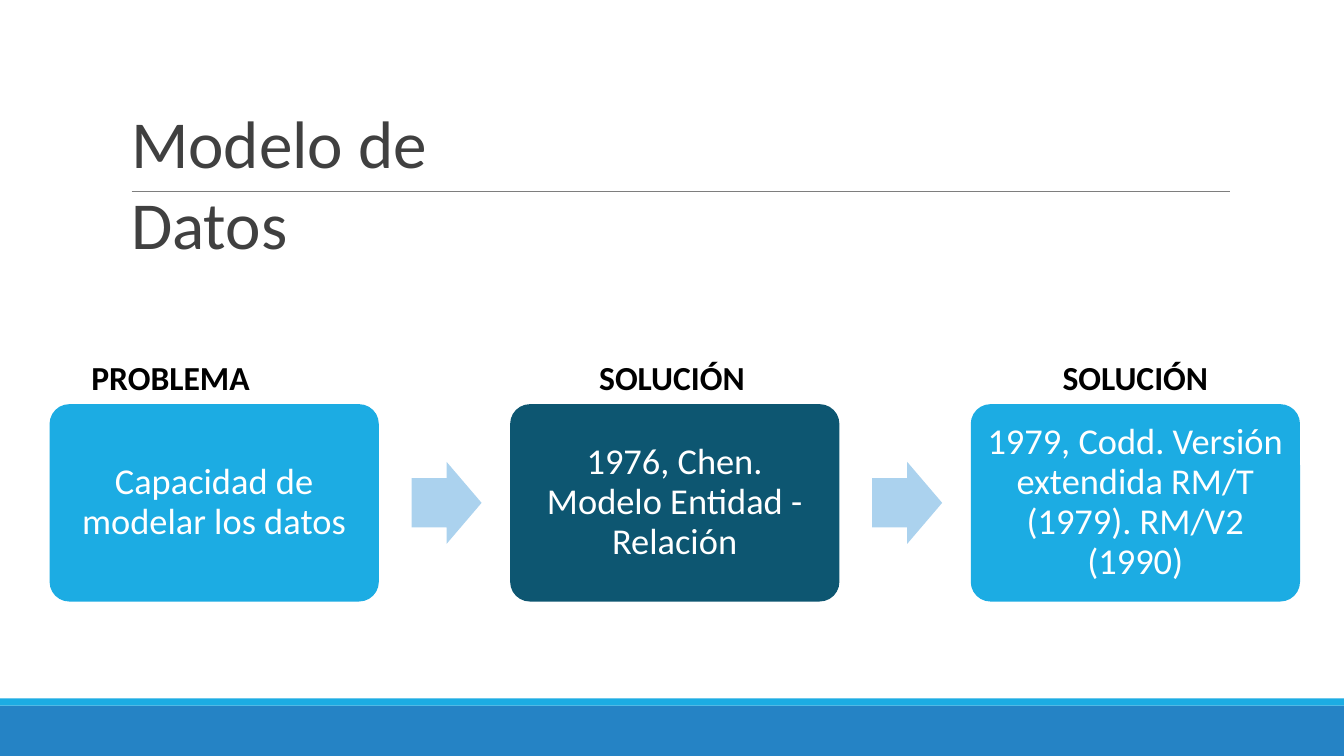
from dataclasses import dataclass

from pptx import Presentation
from pptx.dml.color import RGBColor
from pptx.enum.shapes import MSO_CONNECTOR, MSO_SHAPE
from pptx.enum.text import MSO_ANCHOR, MSO_AUTO_SIZE, PP_ALIGN
from pptx.oxml.ns import qn
from pptx.shapes.autoshape import Shape
from pptx.slide import Slide
from pptx.text.text import TextFrame
from pptx.util import Pt

RECTANGLE = MSO_SHAPE.RECTANGLE
ROUNDED = MSO_SHAPE.ROUNDED_RECTANGLE
ARROW = MSO_SHAPE.RIGHT_ARROW
STRAIGHT = MSO_CONNECTOR.STRAIGHT
LEFT, CENTER = PP_ALIGN.LEFT, PP_ALIGN.CENTER
TOP, MIDDLE = MSO_ANCHOR.TOP, MSO_ANCHOR.MIDDLE
NO_AUTOFIT = MSO_AUTO_SIZE.NONE

FONT = "Calibri"
COLORS = {
    "sky": "1CACE3",
    "band": "2583C5",
    "deep": "0D5671",
    "arrow": "ABD2EE",
    "rule": "7E7E7E",
    "title": "404040",
    "black": "000000",
    "white": "FFFFFF",
}

# Lengths in points
SLIDE_W, SLIDE_H = 960, 540
STAGE_LEFT, STAGE_TOP, STAGE_W, STAGE_H = 35.4, 288.7, 235.2, 141
STAGE_PITCH = 329
ARROW_OFFSET, ARROW_W, ARROW_H = 258.6, 50, 58.6
LABEL_TOP, LABEL_W, LABEL_H = 254.7, 116, 31


@dataclass(frozen=True)
class Stage:
    label: str
    label_left: float
    text: str
    color: str


@dataclass(frozen=True)
class Band:
    top: float
    height: float
    color: str


BANDS = [Band(504, 36, "band"), Band(498.8, 5.2, "sky")]
STAGES = [
    Stage("PROBLEMA", 65.3, "Capacidad de modelar los datos", "sky"),
    Stage("SOLUCIÓN", 428, "1976, Chen.\nModelo Entidad - Relación", "deep"),
    Stage("SOLUCIÓN", 759, "1979, Codd. Versión extendida RM/T (1979). RM/V2\n(1990)", "sky"),
]


def rgb(name: str) -> RGBColor:
    return RGBColor.from_string(COLORS[name])


def write(frame: TextFrame, text: str, size: float, color: str, align: PP_ALIGN,
          bold: bool = False, spacing: float | None = None, inset: float = 0) -> None:
    frame.text = text
    frame.auto_size = NO_AUTOFIT
    frame.word_wrap = True
    frame.margin_left = frame.margin_right = Pt(inset)
    frame.margin_top = frame.margin_bottom = Pt(0)
    for paragraph in frame.paragraphs:
        paragraph.alignment = align
        if spacing:
            paragraph.line_spacing = Pt(spacing)
        for run in paragraph.runs:
            run.font.name = FONT
            run.font.size = Pt(size)
            run.font.bold = bold
            run.font.color.rgb = rgb(color)


def add_filled(slide: Slide, kind: MSO_SHAPE, left: float, top: float,
               width: float, height: float, color: str) -> Shape:
    shape = slide.shapes.add_shape(kind, Pt(left), Pt(top), Pt(width), Pt(height))
    shape.shadow.inherit = False
    shape.fill.solid()
    shape.fill.fore_color.rgb = rgb(color)
    shape.line.fill.background()
    return shape


def add_title(slide: Slide, text: str) -> None:
    title = slide.shapes.title
    title.left, title.top, title.width, title.height = Pt(93.6), Pt(72.5), Pt(310), Pt(60)
    write(title.text_frame, text, 48, "title", LEFT)
    title.text_frame.vertical_anchor = TOP


def add_rule(slide: Slide) -> None:
    rule = slide.shapes.add_connector(STRAIGHT, Pt(94), Pt(136.6), Pt(878.4), Pt(136.6))
    rule.line.color.rgb = rgb("rule")
    rule.line.width = Pt(0.5)
    properties = rule._element.spPr
    properties.append(properties.makeelement(qn("a:effectLst"), {}))


def add_stage(slide: Slide, stage: Stage, left: float) -> None:
    box = add_filled(slide, ROUNDED, left, STAGE_TOP, STAGE_W, STAGE_H, stage.color)
    box.adjustments[0] = 0.1
    write(box.text_frame, stage.text, 26, "white", CENTER, spacing=28.6, inset=3)
    box.text_frame.margin_bottom = Pt(2)
    box.text_frame.vertical_anchor = MIDDLE

    label = slide.shapes.add_textbox(Pt(stage.label_left), Pt(LABEL_TOP), Pt(LABEL_W), Pt(LABEL_H))
    write(label.text_frame, stage.label, 24, "black", LEFT, bold=True)


def add_arrow(slide: Slide, left: float) -> None:
    top = STAGE_TOP + (STAGE_H - ARROW_H) / 2
    arrow = add_filled(slide, ARROW, left, top, ARROW_W, ARROW_H, "arrow")
    arrow.adjustments[0] = 0.6
    arrow.adjustments[1] = 0.5


def main() -> None:
    deck = Presentation()
    deck.slide_width, deck.slide_height = Pt(SLIDE_W), Pt(SLIDE_H)
    slide = deck.slides.add_slide(deck.slide_layouts[5])

    # Bands at the foot
    for band in BANDS:
        add_filled(slide, RECTANGLE, 0, band.top, SLIDE_W, band.height, band.color)

    # Heading
    add_rule(slide)
    add_title(slide, "Modelo de Datos")

    # Stages with arrows between them
    for index, stage in enumerate(STAGES):
        left = STAGE_LEFT + index * STAGE_PITCH
        add_stage(slide, stage, left)
        if index < len(STAGES) - 1:
            add_arrow(slide, left + ARROW_OFFSET)

    deck.save("out.pptx")


if __name__ == "__main__":
    main()
